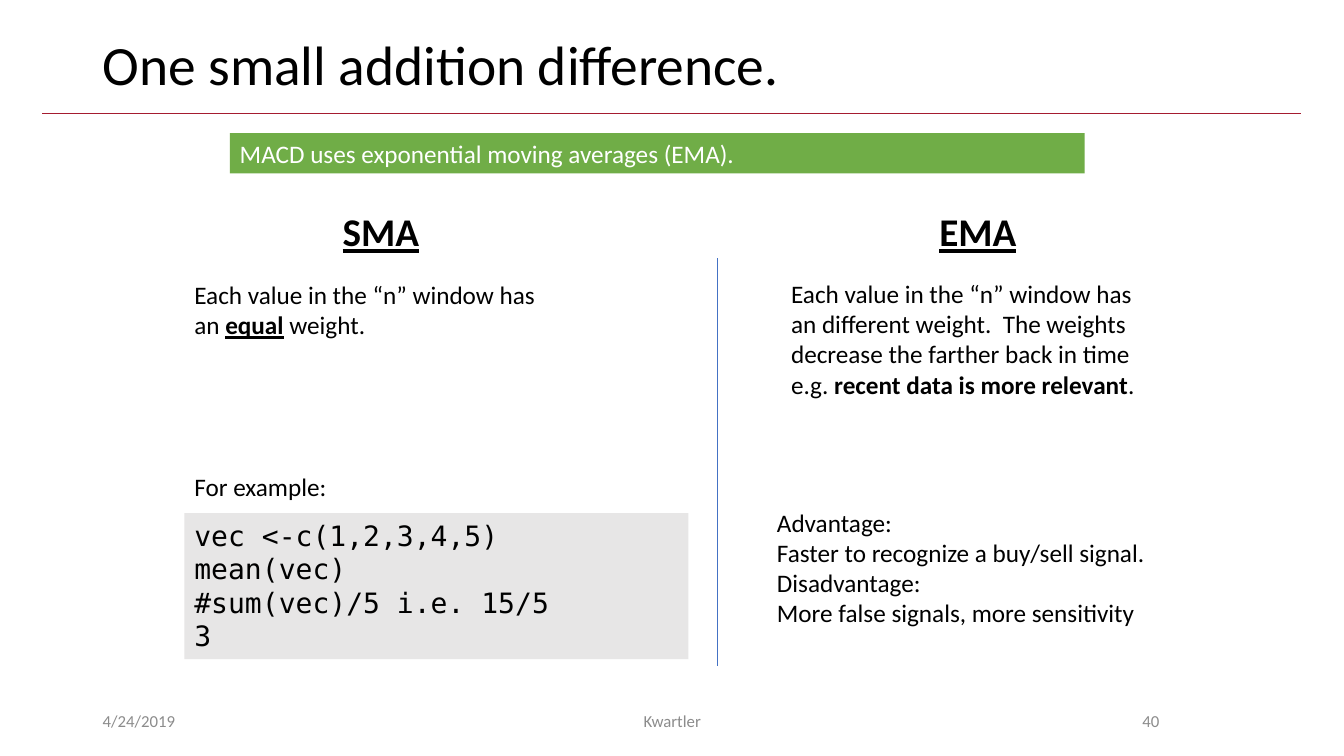
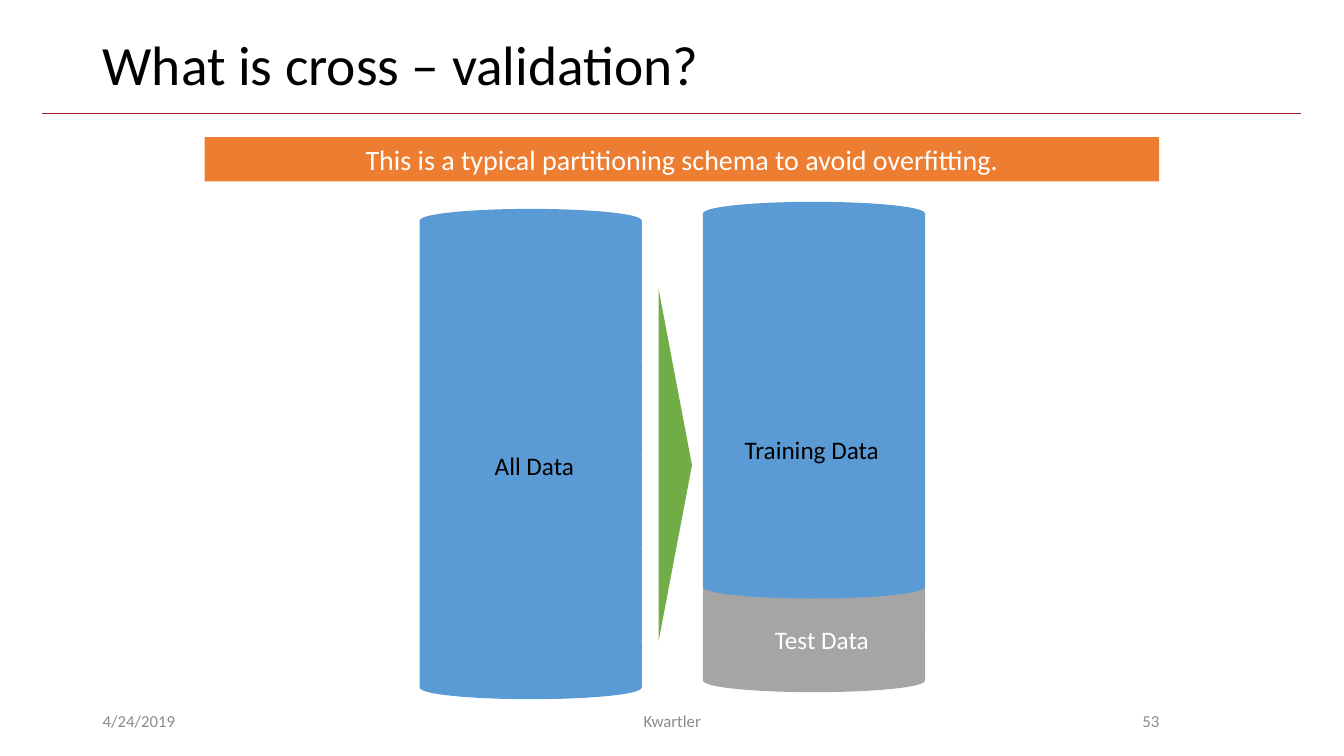
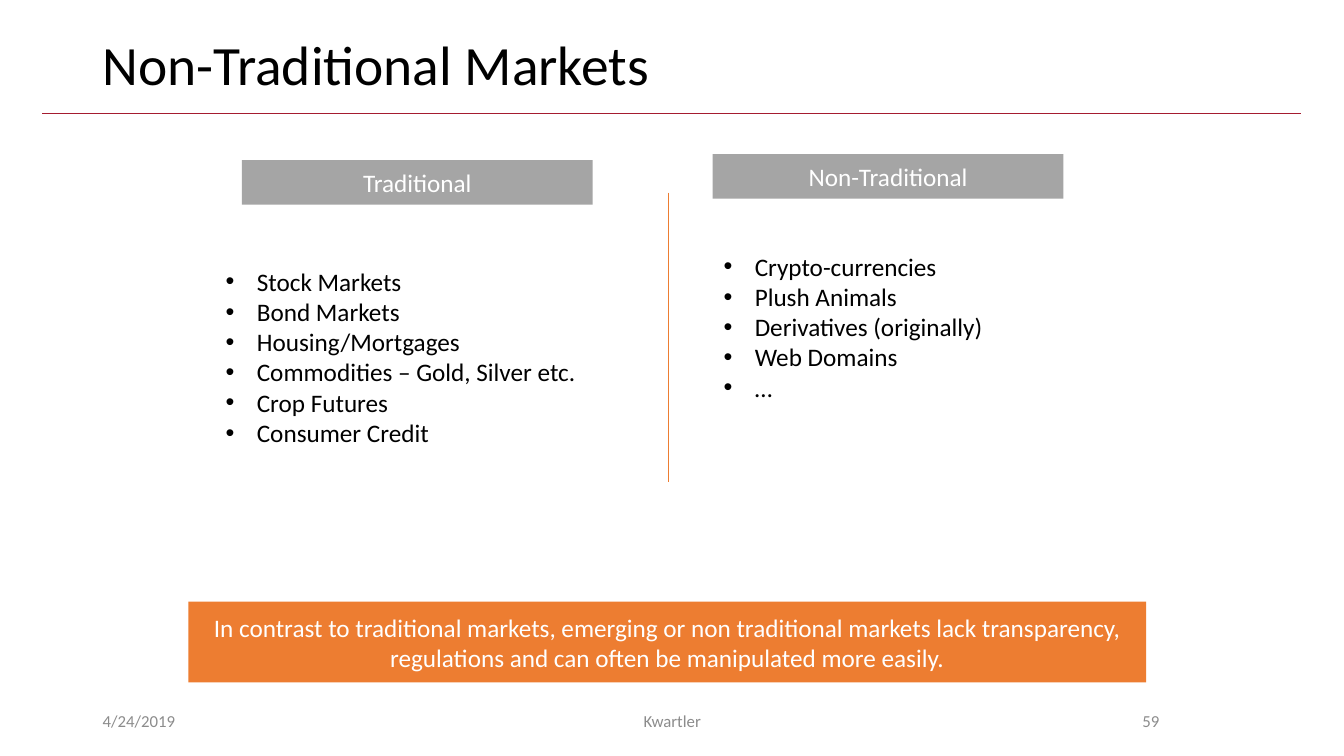
from pptx import Presentation
from pptx.dml.color import RGBColor
from pptx.enum.shapes import MSO_CONNECTOR, MSO_SHAPE
from pptx.enum.text import MSO_ANCHOR, PP_ALIGN
from pptx.oxml.ns import qn
from pptx.util import Inches, Pt
from lxml import etree

RECT, DISK, TRIANGLE = MSO_SHAPE.RECTANGLE, MSO_SHAPE.FLOWCHART_MAGNETIC_DISK, MSO_SHAPE.ISOSCELES_TRIANGLE
STRAIGHT = MSO_CONNECTOR.STRAIGHT
LEFT, CENTER, RIGHT = PP_ALIGN.LEFT, PP_ALIGN.CENTER, PP_ALIGN.RIGHT
TOP, MIDDLE = MSO_ANCHOR.TOP, MSO_ANCHOR.MIDDLE

BLACK = RGBColor(0x00, 0x00, 0x00)
WHITE = RGBColor(0xFF, 0xFF, 0xFF)
FOOTER_GRAY = RGBColor(0x8C, 0x8C, 0x8C)
CODE_GRAY = RGBColor(0xE7, 0xE6, 0xE6)
GRAY = RGBColor(0xA5, 0xA5, 0xA5)
GREEN = RGBColor(0x70, 0xAD, 0x47)
ORANGE = RGBColor(0xED, 0x7D, 0x31)
BLUE = RGBColor(0x5B, 0x9B, 0xD5)
CRIMSON = RGBColor(0xA5, 0x1C, 0x30)
DIVIDER_BLUE = RGBColor(0x44, 0x72, 0xC4)
BODY_FONT, CODE_FONT = "Calibri", "DejaVu Sans Mono"


def add_text(s, text, x, y, w, h, shape=RECT, fill=None, line=None, size=18, font=BODY_FONT,
             color=BLACK, bold=False, underline=False, align=LEFT, anchor=TOP,
             spacing=None, bullet=False):
    """Paragraphs split at line ends; a list holds (text, bold, underline) runs."""
    box = [Inches(v) for v in (x, y, w, h)]
    if fill is None:
        sp = s.shapes.add_textbox(*box)
    else:
        sp = s.shapes.add_shape(shape, *box)
        sp.shadow.inherit = False
        sp.fill.solid()
        sp.fill.fore_color.rgb = fill
        if line is None:
            sp.line.fill.background()
        else:
            sp.line.color.rgb = line
            sp.line.width = Pt(1)
    tf = sp.text_frame
    tf.word_wrap = True
    tf.vertical_anchor = anchor
    if isinstance(text, str):
        paragraphs = [[(t, bold, underline)] for t in text.split("\n") if t]
    else:
        paragraphs = [text]
    for i, runs in enumerate(paragraphs):
        p = tf.paragraphs[0] if i == 0 else tf.add_paragraph()
        p.alignment = align
        if spacing:
            p.line_spacing = spacing
        if bullet:
            pPr = p._p.get_or_add_pPr()
            pPr.set("marL", str(Inches(0.31)))
            pPr.set("indent", str(Inches(-0.31)))
            etree.SubElement(pPr, qn("a:buFont")).set("typeface", "Arial")
            etree.SubElement(pPr, qn("a:buChar")).set("char", "•")
        for run_text, run_bold, run_underline in runs:
            r = p.add_run()
            r.text = run_text
            r.font.name = font
            r.font.size = Pt(size)
            r.font.color.rgb = color
            r.font.bold = run_bold
            r.font.underline = run_underline
    return sp


def add_line(s, x1, y1, x2, y2, color):
    c = s.shapes.add_connector(STRAIGHT, Inches(x1), Inches(y1), Inches(x2), Inches(y2))
    c.line.color.rgb = color
    c.line.width = Pt(0.5)
    etree.SubElement(c._element.spPr, qn("a:effectLst"))


prs = Presentation()
prs.slide_width, prs.slide_height = Inches(40 / 3), Inches(7.5)

# Shared frame: title, rule and footer
slides = []
for title, number in [("One small addition difference.", "40"),
                      ("What is cross – validation?", "53"),
                      ("Non-Traditional Markets", "59")]:
    s = prs.slides.add_slide(prs.slide_layouts[6])
    add_line(s, 0.42, 1.12, 12.91, 1.12, CRIMSON)
    add_text(s, title, 0.92, 0.4, 11.5, 0.54, size=39.6, anchor=MIDDLE, spacing=0.9)
    for text, x, w, align in [("4/24/2019", 0.92, 3, LEFT),
                              ("Kwartler", 4.42, 4.5, CENTER),
                              (number, 9.42, 2.18, RIGHT)]:
        add_text(s, text, x, 6.95, w, 0.4, size=12, color=FOOTER_GRAY, align=align, anchor=MIDDLE)
    slides.append(s)
averages, validation, markets = slides

# Slide 1: simple and exponential averages
s = averages
add_text(s, "MACD uses exponential moving averages (EMA).", 2.28, 1.32, 8.48, 0.4,
         fill=GREEN, color=WHITE)
for heading, x in [("SMA", 3.3), ("EMA", 9.22)]:
    add_text(s, heading, x, 2.01, 1.1, 0.57, size=28, bold=True, underline=True)
add_line(s, 7.12, 2.56, 7.12, 6.61, DIVIDER_BLUE)
add_text(s, [("Each value in the “n” window has an ", False, False),
             ("equal", True, True), (" weight.", False, False)], 1.83, 2.72, 3.63, 0.71)
add_text(s, "For example:", 1.83, 4.63, 1.7, 0.4)
add_text(s, "vec <-c(1,2,3,4,5)\nmean(vec)\n#sum(vec)/5 i.e. 15/5\n3", 1.83, 5.09, 5, 1.45,
         fill=CODE_GRAY, size=20, font=CODE_FONT)
add_text(s, [("Each value in the “n” window has an different weight.  The weights decrease "
              "the farther back in time e.g. ", False, False),
             ("recent data is more relevant", True, False), (".", False, False)],
         7.75, 2.71, 3.63, 1.31)
add_text(s, "Advantage:\nFaster to recognize a buy/sell signal.\n"
            "Disadvantage:\nMore false signals, more sensitivity", 7.61, 4.98, 4, 1.31)

# Slide 2: two stacks of disks, built from the bottom up
s = validation
add_text(s, "This is a typical partitioning schema to avoid overfitting.", 2.03, 1.36, 9.47, 0.44,
         fill=ORANGE, size=20, color=WHITE, align=CENTER, anchor=MIDDLE)
DISKS, STACK_RISE = 10, 4.18
pitch = STACK_RISE / (DISKS - 1)
for x, bottom, test_disks in [(4.17, 6.26, 0), (6.98, 6.19, 2)]:
    for i in range(DISKS):
        color = GRAY if i < test_disks else BLUE
        add_text(s, "", x, bottom - i * pitch, 2.19, 0.67, shape=DISK, fill=color, line=color)
arrow = add_text(s, "", 4.96, 4.45, 3.48, 0.33, shape=TRIANGLE, fill=GREEN)
arrow.rotation = 90
for label, x, y, color in [("All Data", 4.81, 4.42, BLACK),
                           ("Training Data", 7.29, 4.26, BLACK),
                           ("Test Data", 7.59, 6.14, WHITE)]:
    add_text(s, label, x, y, 1.7, 0.4, color=color)

# Slide 3: two market lists
s = markets
add_text(s, "In contrast to traditional markets, emerging or non traditional markets lack "
            "transparency, regulations and can often be manipulated more easily.",
         1.87, 5.97, 9.5, 0.8, fill=ORANGE, color=WHITE, align=CENTER, anchor=MIDDLE)
add_line(s, 6.63, 1.91, 6.63, 4.78, ORANGE)
for heading, x, y in [("Traditional", 2.4, 1.59), ("Non-Traditional", 7.07, 1.53)]:
    add_text(s, heading, x, y, 3.48, 0.44, fill=GRAY, color=WHITE, align=CENTER, anchor=MIDDLE)
add_text(s, "Stock Markets\nBond Markets\nHousing/Mortgages\nCommodities – Gold, Silver etc.\n"
            "Crop Futures\nConsumer Credit", 2.14, 2.59, 3.9, 1.92, bullet=True)
add_text(s, "Crypto-currencies\nPlush Animals\nDerivatives (originally)\nWeb Domains\n…",
         7.08, 2.44, 3, 1.62, bullet=True)

prs.save("out.pptx")
